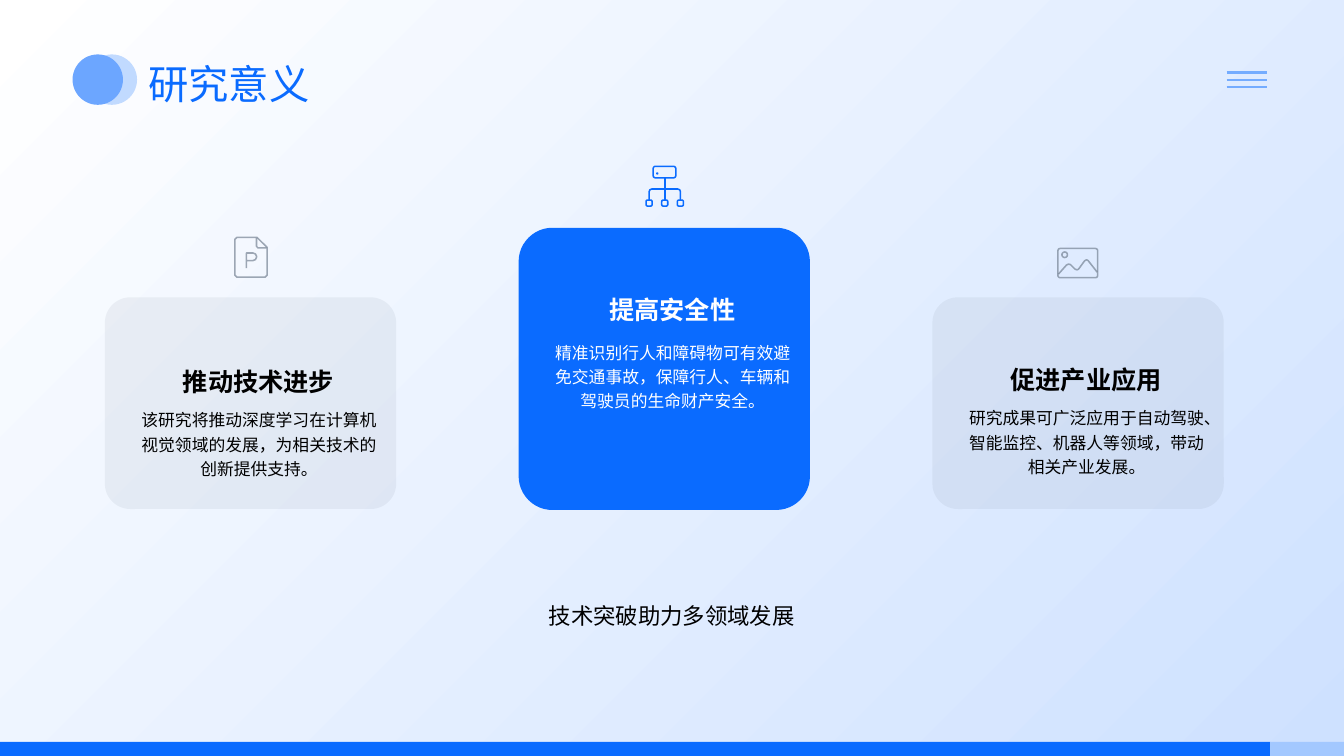
from pptx import Presentation
from pptx import util as u
from pptx.dml.color import RGBColor
from pptx.enum import lang, shapes, text
from pptx.oxml.ns import qn
from lxml import etree

CELL = u.Inches(0.1)  # the slide is a grid of 133.33 columns by 75 rows
BLUE, GREY, WHITE, BLACK = "0A6BFF", "778495", "FFFFFF", "000000"
FONT = "Open Sans"
KIND = shapes.MSO_SHAPE
ANCHOR, ALIGN = text.MSO_ANCHOR, text.PP_ALIGN

deck = Presentation()
deck.slide_width, deck.slide_height = u.Inches(13.333), u.Inches(7.5)
page = deck.slides.add_slide(deck.slide_layouts[5])


def paint(shape, fill=None, line=None, opacity=100):
    """Set fill, outline and opacity; None means no fill or no outline."""
    shape.shadow.inherit = False
    for part, colour in ((shape.fill, fill), (shape.line.fill, line)):
        if colour:
            part.solid()
            part.fore_color.rgb = RGBColor.from_string(colour)
        else:
            part.background()
    if line:
        shape.line.width = u.Pt(1.1)
    if opacity < 100:
        for colour in shape.element.iter(qn("a:srgbClr")):
            etree.SubElement(colour, qn("a:alpha")).set("val", str(opacity * 1000))


def write(box, words, place, size, colour, anchor=ANCHOR.TOP,
          align=ALIGN.CENTER, spacing=1.0, bold=False):
    """Place a text holder on the grid and fill it with one paragraph."""
    box.left, box.top, box.width, box.height = (int(n * CELL) for n in place)
    frame = box.text_frame
    para = frame.paragraphs[0]
    span = para.add_run()
    span.text = words
    span.font.color.rgb = RGBColor.from_string(colour)
    formats = {
        frame: {"word_wrap": True, "auto_size": text.MSO_AUTO_SIZE.NONE,
                "vertical_anchor": anchor},
        para: {"alignment": align, "line_spacing": spacing},
        span.font: {"name": FONT, "size": u.Pt(size), "bold": bold,
                    "language_id": lang.MSO_LANGUAGE_ID.SIMPLIFIED_CHINESE},
    }
    for target, values in formats.items():
        for name, value in values.items():
            setattr(target, name, value)
    etree.SubElement(span.font._element, qn("a:ea")).set("typeface", FONT)


# Background gradient, from top left to bottom right
backdrop = page.background.fill
backdrop.gradient()
backdrop.gradient_angle = 315
for stop, colour in zip(backdrop.gradient_stops, (WHITE, "CEE1FF")):
    stop.color.rgb = RGBColor.from_string(colour)

# Title discs and bottom bar
for kind, place, colour in (
    (KIND.OVAL, (8.6, 5.4, 5, 5), "C1DAFF"),
    (KIND.OVAL, (7.2, 5.4, 5, 5), "6CA6FF"),
    (KIND.RECTANGLE, (0, 73.6, 126, 1.4), BLUE),
    (KIND.RECTANGLE, (126, 73.6, 7.33, 1.4), "A3C8FF"),
):
    paint(page.shapes.add_shape(kind, *(int(n * CELL) for n in place)), colour)

# Menu lines
for row in range(3):
    height = int((7.2 + 0.7 * row) * CELL)
    rule = page.shapes.add_connector(
        shapes.MSO_CONNECTOR.STRAIGHT,
        int(121.7 * CELL), height, int(125.7 * CELL), height)
    rule.line.color.rgb = RGBColor.from_string("74ACFF")
    rule.line.width = u.Pt(1.5)
    etree.SubElement(rule.element.spPr, qn("a:effectLst"))

# Title and closing line
write(page.shapes.title, "研究意义", (13.7, 1.4, 112.3, 9.8), 28.8, BLUE,
      ANCHOR.BOTTOM, ALIGN.LEFT)
write(page.shapes.add_textbox(0, 0, 0, 0), "技术突破助力多领域发展",
      (9, 59.2, 115.3, 7.9), 16, BLACK)

# Cards: top, height, heading top, body top, fill, opacity, ink, texts
cards = (
    (29.5, 21, 32.7, 39.8, GREY, 10, BLACK, "推动技术进步",
     "该研究将推动深度学习在计算机视觉领域的发展，为相关技术的创新提供支持。"),
    (22.6, 28, 25.6, 33.1, BLUE, 100, WHITE, "提高安全性",
     "精准识别行人和障碍物可有效避免交通事故，保障行人、车辆和驾驶员的生命财产安全。"),
    (29.5, 21, 32.5, 39.6, GREY, 10, BLACK, "促进产业应用",
     "研究成果可广泛应用于自动驾驶、智能监控、机器人等领域，带动相关产业发展。"),
)
for column, (top, height, head_top, body_top, fill, opacity, ink,
             heading, body) in enumerate(cards):
    left = 10.4 + 41.05 * column
    card = page.shapes.add_shape(
        KIND.ROUNDED_RECTANGLE,
        *(int(n * CELL) for n in (left, top, 28.9, height)))
    card.adjustments[0] = 0.12
    paint(card, fill, opacity=opacity)
    write(page.shapes.add_textbox(0, 0, 0, 0), heading,
          (left + 3, head_top, 24.5, 7.1), 18, ink, ANCHOR.BOTTOM, bold=True)
    write(page.shapes.add_textbox(0, 0, 0, 0), body,
          (left + 2.3, body_top, 26, 9.4), 12, ink, spacing=1.2)

# Icon outlines: kind, place, corner, colour, opacity
nodes = [(KIND.ROUNDED_RECTANGLE, (64.1 + 1.55 * n, 19.85, 0.6, 0.6), 0.25, BLUE, 100)
         for n in range(3)]
for kind, place, corner, colour, opacity in nodes + [
    (KIND.ROUNDED_RECTANGLE, (64.8, 16.5, 2.25, 1.15), 0.2, BLUE, 100),
    (KIND.OVAL, (65.17, 17.17, 0.08, 0.08), None, BLUE, 100),
    (KIND.ROUNDED_RECTANGLE, (104.95, 24.65, 3.95, 2.9), 0.08, GREY, 70),
    (KIND.OVAL, (105.35, 25, 0.55, 0.55), None, GREY, 70),
]:
    outline = page.shapes.add_shape(kind, *(int(n * CELL) for n in place))
    if corner:
        outline.adjustments[0] = corner
    paint(outline, line=colour, opacity=opacity)

# Icon strokes: points, closed, colour, opacity
for points, closed, colour, opacity in (
    # Network: trunk and branches
    ([(65.95, 17.65), (65.95, 19.85)], False, BLUE, 100),
    ([(64.4, 19.85), (64.4, 19), (64.47, 18.83), (64.65, 18.75), (67.25, 18.75),
      (67.43, 18.83), (67.5, 19), (67.5, 19.85)], False, BLUE, 100),
    # Document: sheet, folded corner and letter
    ([(23.5, 23.55), (25.5, 23.55), (26.5, 24.55), (26.5, 27.3), (26.3, 27.5),
      (23.5, 27.5), (23.3, 27.3), (23.3, 23.75)], True, GREY, 70),
    ([(25.45, 23.6), (25.45, 24.45), (25.6, 24.6), (26.45, 24.6)], False, GREY, 70),
    ([(24.45, 26.6), (24.45, 25.1), (25.1, 25.1), (25.35, 25.2), (25.47, 25.47),
      (25.35, 25.75), (25.1, 25.85), (24.45, 25.85)], False, GREY, 70),
    # Photo: hills
    ([(105, 27.2), (105.8, 26.3), (106, 26.2), (106.2, 26.25), (106.65, 26.7),
      (106.85, 26.77), (107, 26.7), (107.6, 25.88), (107.8, 25.77),
      (107.95, 25.85), (108.85, 27)], False, GREY, 70),
):
    pen, *rest = [(x * CELL, y * CELL) for x, y in points]
    builder = page.shapes.build_freeform(*pen)
    builder.add_line_segments(rest, close=closed)
    paint(builder.convert_to_shape(), line=colour, opacity=opacity)

deck.save("out.pptx")
